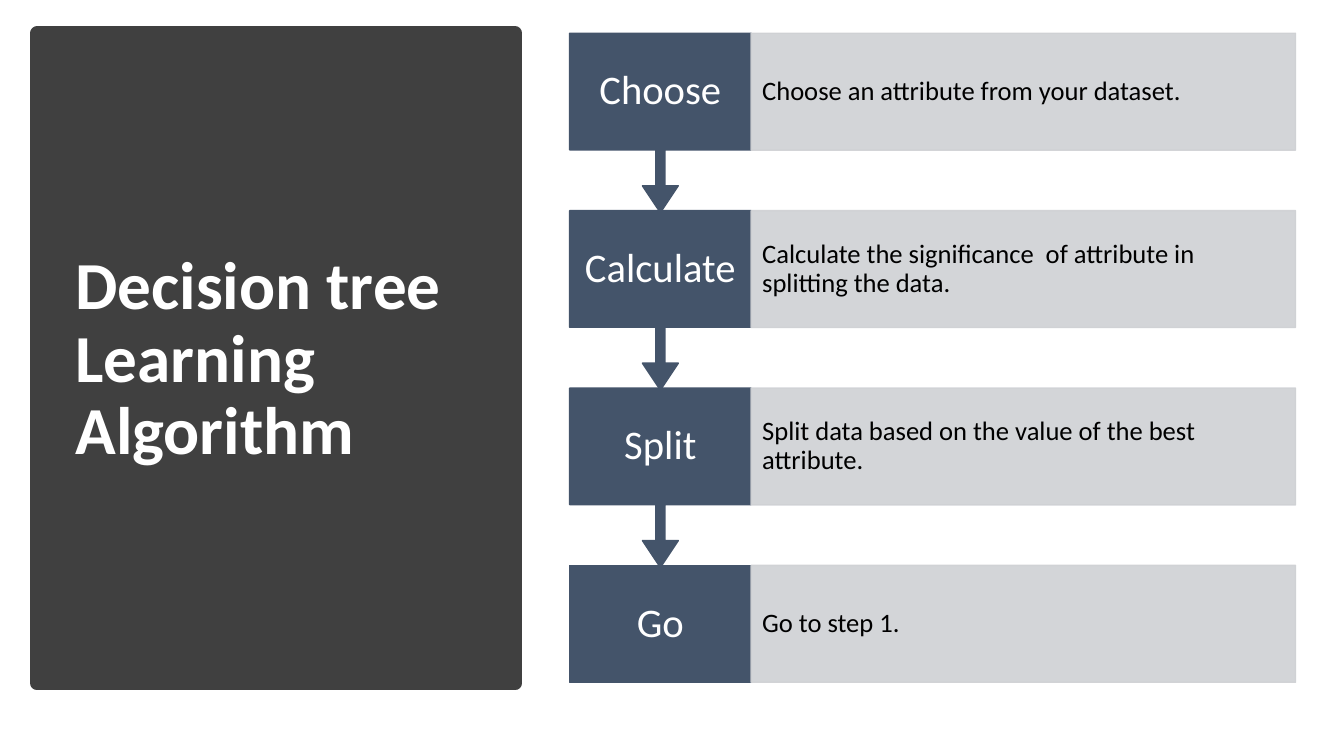
from dataclasses import dataclass

from pptx import Presentation
from pptx.dml.color import RGBColor
from pptx.enum.shapes import MSO_SHAPE
from pptx.enum.text import MSO_ANCHOR, PP_ALIGN
from pptx.oxml.ns import qn
from pptx.util import Inches, Pt
from lxml.etree import SubElement


@dataclass(frozen=True)
class Theme:
    font: str = "Calibri"
    panel: str = "404040"
    step: str = "44546A"
    detail: str = "CFD1D4"
    light: str = "FFFFFF"
    dark: str = "000000"
    title_size: int = 48
    step_size: int = 29
    detail_size: int = 19


class SlideBuilder:
    def __init__(self, slide, theme):
        self.s = slide
        self.theme = theme

    def shape(self, kind, box, color, line_width=1, alpha=None):
        sp = self.s.shapes.add_shape(kind, *map(Inches, box))
        sp.shadow.inherit = False
        sp.fill.solid()
        sp.line.fill.solid()
        sp.line.width = Pt(line_width)
        for fill in (sp.fill, sp.line.fill):
            fill.fore_color.rgb = RGBColor.from_string(color)
        if alpha is not None:
            for clr in sp._element.spPr.iter(qn("a:srgbClr")):
                SubElement(clr, qn("a:alpha"), val=str(alpha * 1000))
        return sp

    def label(self, sp, text, size, color, margins=(0.1, 0.05),
              align=PP_ALIGN.LEFT, bold=False):
        tf = sp.text_frame
        tf.word_wrap = True
        tf.vertical_anchor = MSO_ANCHOR.MIDDLE
        tf.margin_left = tf.margin_right = Inches(margins[0])
        tf.margin_top = tf.margin_bottom = Inches(margins[1])
        p = tf.paragraphs[0]
        p.text = text
        p.alignment = align
        p.line_spacing = 0.9
        p.font.name = self.theme.font
        p.font.size = Pt(size)
        p.font.bold = bold
        p.font.color.rgb = RGBColor.from_string(color)
        return p

    def title_panel(self, text):
        t = self.theme
        self.shape(MSO_SHAPE.RECTANGLE, (0.37, 0.33, 4.74, 6.45), t.panel, line_width=10)
        tb = self.s.shapes.add_textbox(*map(Inches, (0.65, 0.7, 4.16, 5.75)))
        p = self.label(tb, text, t.title_size, t.light, bold=True)
        p.space_after = Pt(6)

    def step(self, top, name, detail, has_arrow):
        t = self.theme
        left, width, height = 5.65, 1.8, 1.16
        if has_arrow:
            sp = self.shape(MSO_SHAPE.DOWN_ARROW_CALLOUT, (left, top, width, 1.78), t.step)
            for i, value in enumerate((0.05, 0.1, 0.15, 0.65)):
                sp.adjustments[i] = value
        else:
            sp = self.shape(MSO_SHAPE.RECTANGLE, (left, top, width, height), t.step)
        self.label(sp, name, t.step_size, t.light, (0.13, 0.23), PP_ALIGN.CENTER)
        sp = self.shape(MSO_SHAPE.RECTANGLE, (left + width, top, 5.4, height),
                        t.detail, alpha=90)
        self.label(sp, detail, t.detail_size, t.dark, (0.11, 0.26))


STEPS = [
    ("Choose", "Choose an attribute from your dataset."),
    ("Calculate", "Calculate the significance  of attribute in splitting the data."),
    ("Split", "Split data based on the value of the best attribute."),
    ("Go", "Go to step 1."),
]


def main():
    prs = Presentation()
    prs.slide_width = Inches(13.33)
    prs.slide_height = Inches(7.5)
    slide = SlideBuilder(prs.slides.add_slide(prs.slide_layouts[6]), Theme())
    slide.title_panel("Decision tree Learning Algorithm")
    last = len(STEPS) - 1
    for i, (name, detail) in reversed(list(enumerate(STEPS))):
        slide.step(0.33 + i * 1.76, name, detail, has_arrow=i < last)
    prs.save("out.pptx")


if __name__ == "__main__":
    main()
